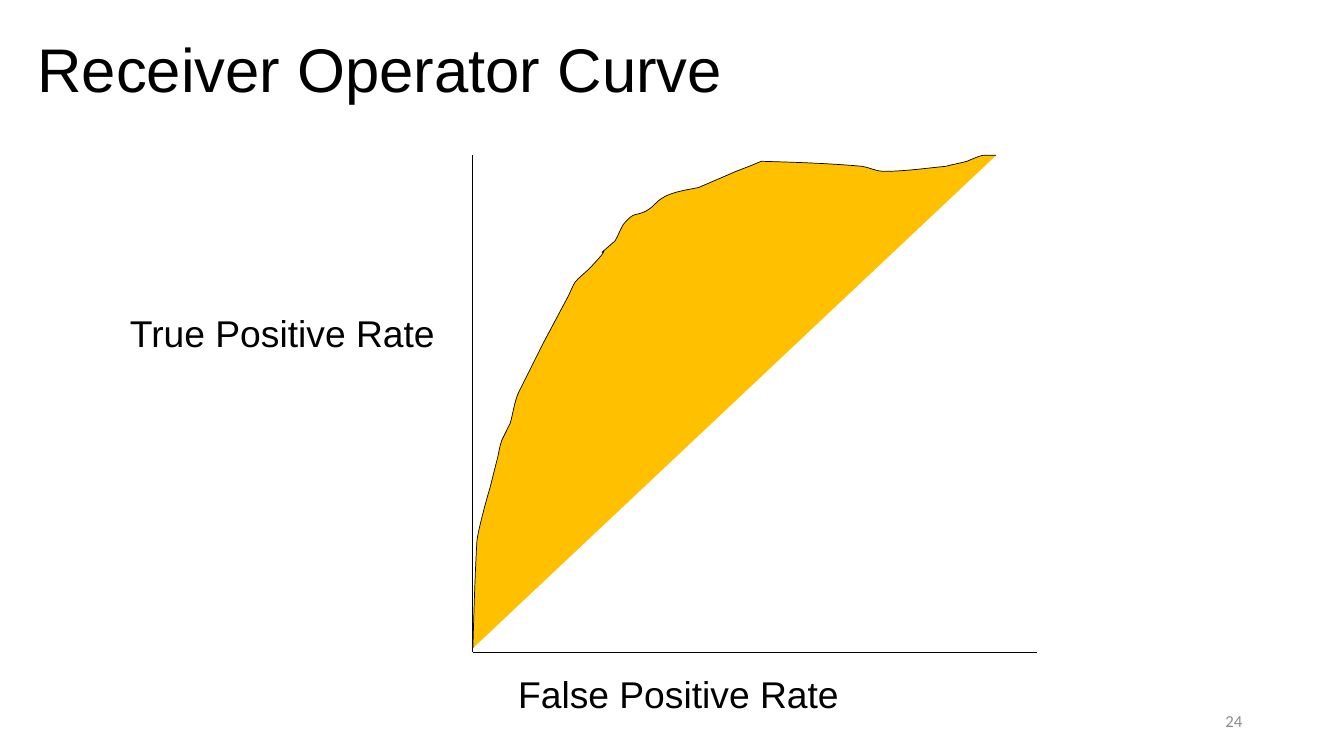
"""Build the receiver operator curve slide."""
from lxml import etree
from pptx import Presentation
from pptx.dml.color import RGBColor
from pptx.enum import text as t
from pptx.oxml import ns
from pptx.util import Inches, Pt

BLACK, GREY, AMBER = "000000", "8C8C8C", "FFC000"

TITLE = ("Receiver Operator Curve", (0.27, 0.34, 11.5, 0.84))
AXIS_LABELS = [
    ("False Positive Rate", (5.04, 6.66, 4.5, 0.5)),
    ("True Positive Rate", (1.19, 3.08, 3.28, 0.5)),
]
PAGE_NUMBER = ("24", (9.42, 6.95, 3, 0.4))

ORIGIN = (4.69, 6.47)
AXIS_ENDS = [(10.29, 6.47), (4.69, 1.54)]

ROC_START = (4.69, 6.43)
# Each segment lists its points: one for a line, three for a cubic curve.
ROC_SEGMENTS = [
    [(4.7, 6.08), (4.71, 5.72), (4.73, 5.37)],
    [(4.74, 5.26), (4.84, 4.9), (4.86, 4.84)],
    [(4.94, 4.52)],
    [(4.95, 4.47), (4.96, 4.41), (4.98, 4.36)],
    [(5.06, 4.2)],
    [(5.09, 4.1), (5.1, 3.98), (5.15, 3.88)],
    [(5.39, 3.4)],
    [(5.64, 2.93)],
    [(5.67, 2.87), (5.69, 2.8), (5.73, 2.77)],
    [(5.77, 2.73), (5.81, 2.7), (5.85, 2.66)],
    [(6.17, 2.32), (5.79, 2.66), (6.1, 2.39)],
    [(6.13, 2.34), (6.15, 2.28), (6.18, 2.23)],
    [(6.3, 2.08), (6.3, 2.16), (6.43, 2.08)],
    [(6.48, 2.05), (6.51, 2), (6.56, 1.97)],
    [(6.66, 1.9), (6.84, 1.88), (6.93, 1.86)],
    [(7.3, 1.7)],
    [(7.43, 1.65)],
    [(7.55, 1.6)],
    [(7.89, 1.61), (8.22, 1.62), (8.55, 1.65)],
    [(8.62, 1.66), (8.69, 1.7), (8.76, 1.7)],
    [(8.97, 1.7), (9.17, 1.67), (9.38, 1.65)],
    [(9.45, 1.63), (9.52, 1.62), (9.59, 1.6)],
    [(9.64, 1.58), (9.7, 1.55), (9.75, 1.54)],
    [(9.79, 1.54), (9.84, 1.54), (9.88, 1.54)],
]


def color(hex_value):
    return RGBColor.from_string(hex_value)


def inches(values):
    return [Inches(value) for value in values]


def write(holder, words, size, font="Arial", ink=BLACK, align=t.PP_ALIGN.LEFT,
          anchor=t.MSO_ANCHOR.TOP, spacing=0.9):
    frame = holder.text_frame
    frame.word_wrap = True
    frame.auto_size = t.MSO_AUTO_SIZE.NONE
    frame.vertical_anchor = anchor
    frame.text = words
    paragraph = frame.paragraphs[0]
    paragraph.alignment = align
    paragraph.line_spacing = spacing
    paragraph.font.name = font
    paragraph.font.size = Pt(size)
    paragraph.font.color.rgb = color(ink)


def draw_outline(shapes, start, segments):
    builder = shapes.build_freeform(*inches(start), scale=1.0)
    points = [inches(point) for segment in segments for point in segment]
    builder.add_line_segments(points, close=False)
    area = builder.convert_to_shape()
    lines = iter(list(area._element.iter(ns.qn("a:lnTo"))))
    for segment in segments:
        steps = [next(lines) for _ in segment]
        if len(steps) == 3:
            curve = etree.Element(ns.qn("a:cubicBezTo"))
            steps[0].addprevious(curve)
            for step in steps:
                curve.append(step[0])
                step.getparent().remove(step)
    return area


def main():
    deck = Presentation()
    deck.slide_width, deck.slide_height = inches((13.33, 7.5))
    slide = deck.slides.add_slide(deck.slide_layouts[5])
    shapes = slide.shapes

    words, place = TITLE
    title = shapes.title
    title.left, title.top, title.width, title.height = inches(place)
    write(title, words, 44)

    words, place = PAGE_NUMBER
    write(shapes.add_textbox(*inches(place)), words, 12, font="Calibri", ink=GREY,
          align=t.PP_ALIGN.RIGHT, anchor=t.MSO_ANCHOR.MIDDLE, spacing=1.0)

    for end in AXIS_ENDS:
        axis = shapes.add_connector(1, *inches(ORIGIN + end))
        axis.line.color.rgb = color(BLACK)
        axis.line.width = Pt(0.75)
        etree.SubElement(axis._element.spPr, ns.qn("a:effectLst"))

    roc_area = draw_outline(shapes, ROC_START, ROC_SEGMENTS)
    roc_area.shadow.inherit = False
    roc_area.fill.solid()
    roc_area.fill.fore_color.rgb = color(AMBER)
    roc_area.line.color.rgb = color(BLACK)
    roc_area.line.width = Pt(0.5)

    for words, place in AXIS_LABELS:
        write(shapes.add_textbox(*inches(place)), words, 26.67)

    deck.save("out.pptx")


if __name__ == "__main__":
    main()
